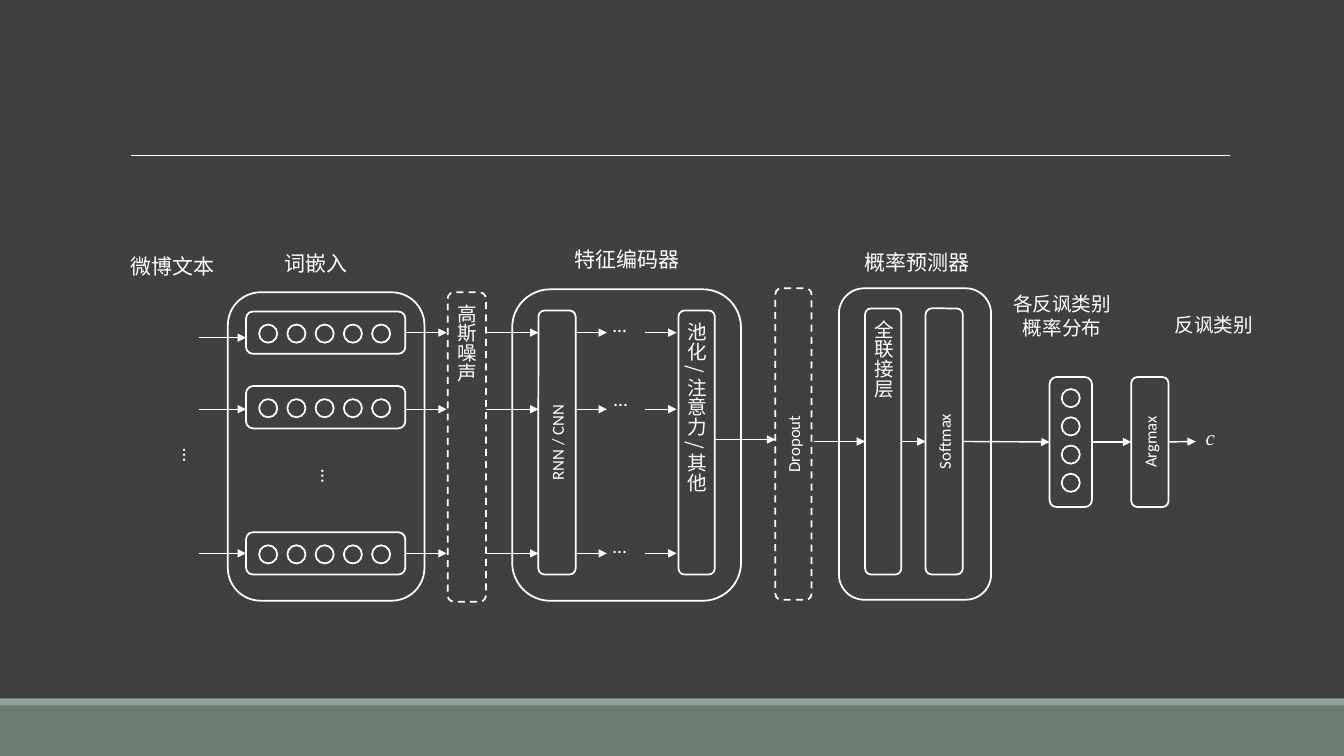
import pptx
import pptx.util
import pptx.dml.color
import pptx.enum.dml
import pptx.enum.shapes
import pptx.enum.text
import pptx.oxml.ns
import lxml.etree

# Content
COLORS = {"back": "404040", "line": "FFFFFF", "footer": "6B7D72", "stripe": "93A299"}
CJK, LATIN, SERIF = "Noto Sans CJK SC", "Calibri", "Times New Roman"

# Captions: text, (left, top, width, height), format
CAPTIONS = [
    ("微博文本", (1.2, 2.47, 1.27, 0.43), dict(wrap=False)),
    ("词嵌入", (2.72, 2.44, 1.02, 0.43), dict(wrap=False)),
    ("特征编码器", (5.14, 2.4, 2.15, 0.43), dict(center=True)),
    ("概率预测器", (8.02, 2.43, 2.15, 0.43), dict(center=True)),
    ("各反讽类别\n概率分布", (9.46, 2.85, 2.15, 0.7), dict(size=14, center=True)),
    ("反讽类别", (11.37, 3.06, 1.34, 0.41), dict(size=14, center=True)),
    ("c", (11.86, 4.16, 0.36, 0.43), dict(font=SERIF, italic=True, wrap=False)),
]
# Layers: text, (left, top, width, height), dashed
LAYERS = [
    ("高斯噪声", (4.44, 2.9, 0.38, 3.07), True),
    ("RNN / CNN", (5.34, 3.08, 0.37, 2.62), False),
    ("池化 / 注意力 / 其他", (6.73, 3.08, 0.36, 2.62), False),
    ("Dropout", (7.69, 2.86, 0.36, 3.09), True),
    ("全联接层", (8.58, 3.06, 0.36, 2.64), False),
    ("Softmax", (9.18, 3.06, 0.37, 2.64), False),
    ("Argmax", (11.22, 3.74, 0.37, 1.29), False),
]
GROUPS = [(2.26, 2.9, 1.95, 3.06), (5.08, 2.87, 2.27, 3.09), (8.32, 2.86, 1.51, 3.09)]
TOKEN_TOPS = [3.09, 3.83, 5.28]
DOT, DOT_STEP = 0.18, 0.28
DISTRIBUTION = (10.41, 3.74, 0.42, 1.29)
ELLIPSES = [((5.98, 3.06), 0), ((5.99, 3.79), 0), ((5.98, 5.25), 0),
            ((1.65, 4.35), 90), ((3.02, 4.56), 90)]

# Arrows: horizontal spans (left, right) repeated on each flow row
FLOW_ROWS = [3.3, 4.06, 5.49]
FLOW_SPANS = [(4.02, 4.43), (4.82, 5.34), (5.7, 6.02), (6.4, 6.71)]
INPUT_SPAN, INPUT_ROWS = (1.97, 2.44), [3.35, 4.06, 5.49]
MAIN_ROW = 4.38
MAIN_SPANS = [(8.07, 8.58), (8.95, 9.18), (9.55, 10.41), (10.83, 11.22), (11.59, 11.86)]
POOL_SPAN, POOL_ROW = (7.08, 7.69), 4.36

SHAPE = pptx.enum.shapes.MSO_SHAPE
inch = pptx.util.Inches

# Deck and page
deck = pptx.Presentation()
deck.slide_width, deck.slide_height = inch(13.33), inch(7.5)
page = deck.slides.add_slide(deck.slide_layouts[6])
boxes = []


def color(name):
    return pptx.dml.color.RGBColor.from_string(COLORS[name])


def write(shape, text, font=CJK, size=15, italic=False, center=False, wrap=True, vert=None):
    frame = shape.text_frame
    frame.word_wrap = wrap
    if vert:
        frame.vertical_anchor = pptx.enum.text.MSO_ANCHOR.MIDDLE
        frame._txBody.bodyPr.set("vert", vert)
    else:
        frame.auto_size = pptx.enum.text.MSO_AUTO_SIZE.SHAPE_TO_FIT_TEXT
    for index, line in enumerate(text.split("\n")):
        para = frame.add_paragraph() if index else frame.paragraphs[0]
        align = pptx.enum.text.PP_ALIGN
        para.alignment = align.CENTER if center else align.LEFT
        span = para.add_run()
        span.text = line
        span.font.name, span.font.size = font, pptx.util.Pt(size)
        span.font.italic = italic
        span.font.color.rgb = color("line")
        east = lxml.etree.SubElement(span._r.rPr, pptx.oxml.ns.qn("a:ea"))
        east.set("typeface", font)


def label(text, place, rotation=0, **style):
    box = page.shapes.add_textbox(*map(inch, place))
    box.rotation = rotation
    write(box, text, **style)


def outline(kind, place, dashed=False):
    shape = page.shapes.add_shape(kind, *map(inch, place))
    shape.shadow.inherit = False
    shape.fill.background()
    shape.line.color.rgb = color("line")
    shape.line.width = pptx.util.Pt(1.25)
    if dashed:
        shape.line.dash_style = pptx.enum.dml.MSO_LINE.DASH
    return shape


def box_at(place, dashed=False):
    box = outline(SHAPE.ROUNDED_RECTANGLE, place, dashed)
    boxes.append((box, place))
    return box


def bar(name, top, height):
    shape = page.shapes.add_shape(SHAPE.RECTANGLE, 0, inch(top), deck.slide_width, inch(height))
    shape.shadow.inherit = False
    shape.fill.solid()
    shape.fill.fore_color.rgb = color(name)
    shape.line.fill.background()


def rule(span, row, width):
    line = page.shapes.add_connector(pptx.enum.shapes.MSO_CONNECTOR.STRAIGHT,
                                     inch(span[0]), inch(row), inch(span[1]), inch(row))
    line.line.color.rgb = color("line")
    line.line.width = pptx.util.Pt(width)
    lxml.etree.SubElement(line._element.spPr, pptx.oxml.ns.qn("a:effectLst"))
    return line


def arrow(span, row):
    line = rule(span, row, 1)
    tail = lxml.etree.SubElement(line.line._get_or_add_ln(), pptx.oxml.ns.qn("a:tailEnd"))
    tail.set("type", "triangle")
    # Join each end that meets the middle of a box's side
    for box, (left, top, width, height) in boxes:
        if abs(top + height / 2 - row) < 0.015:
            if abs(left + width - span[0]) < 0.015:
                line.begin_connect(box, 3)
            if abs(left - span[1]) < 0.015:
                line.end_connect(box, 1)


# Background, footer bars and title rule
page.background.fill.solid()
page.background.fill.fore_color.rgb = color("back")
bar("footer", 7, 0.5)
bar("stripe", 6.93, 0.07)
rule((1.3, 12.2), 1.54, 0.5)

# Embedding rows and class distribution
for top in TOKEN_TOPS:
    box_at((2.44, top, 1.58, 0.42))
    for column in range(5):
        outline(SHAPE.OVAL, (2.57 + column * DOT_STEP, top + 0.13, DOT, DOT))
box_at(DISTRIBUTION)
for row in range(4):
    outline(SHAPE.OVAL, (10.53, 3.86 + row * DOT_STEP, DOT, DOT))

# Groups and layers
for place in GROUPS:
    outline(SHAPE.ROUNDED_RECTANGLE, place)
for text, place, dashed in LAYERS:
    latin = text.isascii()
    write(box_at(place, dashed), text, center=True, font=LATIN if latin else CJK,
          size=12 if latin else 14, vert="vert270" if latin else "eaVert")

# Arrows
for row in FLOW_ROWS:
    for span in FLOW_SPANS:
        arrow(span, row)
for row in INPUT_ROWS:
    arrow(INPUT_SPAN, row)
for span in MAIN_SPANS:
    arrow(span, MAIN_ROW)
arrow(POOL_SPAN, POOL_ROW)

# Captions and ellipses
for text, place, style in CAPTIONS:
    label(text, place, **style)
for corner, rotation in ELLIPSES:
    label("…", (*corner, 0.41, 0.41), rotation, font=LATIN, size=14, wrap=False)

deck.save("out.pptx")
